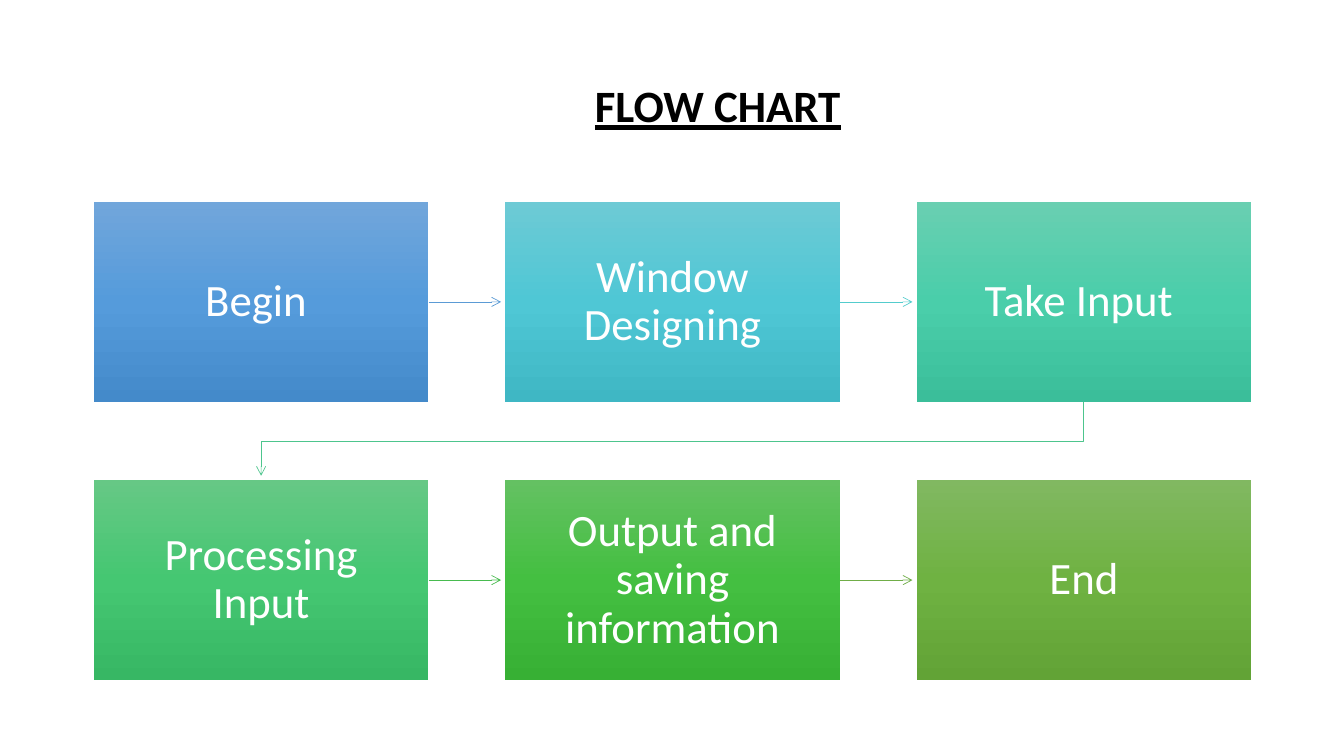
from copy import deepcopy

from lxml.etree import SubElement
from pptx import Presentation
from pptx.dml.color import RGBColor
from pptx.enum.shapes import MSO_CONNECTOR, MSO_SHAPE
from pptx.enum.text import MSO_ANCHOR, MSO_AUTO_SIZE, PP_ALIGN
from pptx.oxml.ns import qn
from pptx.util import Inches, Pt

STEPS = [
    ("Begin ", "71A6DB", "559BDB", "448ACA"),
    ("Window Designing", "6DCAD5", "4FC7D5", "3FB7C4"),
    ("Take Input ", "69CFB1", "4ACEAA", "3BBE9A"),
    ("Processing Input", "66C885", "45C772", "37B764"),
    ("Output and saving information", "64C162", "44BF41", "37B034"),
    ("End", "81B861", "6FB242", "62A336"),
]
LINKS = ["5B9BD5", "54CCCD", "4DC58D", "48BB4F", "70AD47"]


def color(code):
    """Turn a hex string into a colour."""
    return RGBColor.from_string(code)


class Flow:
    """Hold the slide, its grid and its text style."""

    font, size, cols = "Calibri", Pt(32), 3
    left, top, wide, high = 0.93, 2, 3.32, 1.99
    step_x, step_y, gap = 4.08, 2.76, 0.04

    def __init__(self, deck):
        """Add a title-only slide to the deck."""
        self.slide = deck.slides.add_slide(deck.slide_layouts[5])

    def cell(self, num):
        """Return the left and top of a numbered grid cell in inches."""
        row, col = divmod(num, self.cols)
        return self.left + col * self.step_x, self.top + row * self.step_y

    def label(self, shape, text, tint, align):
        """Put styled text in a shape and return its paragraph."""
        frame = shape.text_frame
        frame.text = text
        frame.word_wrap = True
        frame.auto_size = MSO_AUTO_SIZE.NONE
        frame.vertical_anchor = MSO_ANCHOR.MIDDLE
        para = frame.paragraphs[0]
        para.alignment, para.line_spacing = align, 0.9
        para.font.name, para.font.size = self.font, self.size
        para.font.color.rgb = color(tint)
        return para

    def title(self, text, x, y, wide, high):
        """Place and format the title."""
        head = self.slide.shapes.title
        head.left, head.top = Inches(x), Inches(y)
        head.width, head.height = Inches(wide), Inches(high)
        para = self.label(head, text, "000000", PP_ALIGN.LEFT)
        para.font.bold = para.font.underline = True

    def box(self, num, text, *tints):
        """Draw a step with a three-stop gradient from top to bottom."""
        x, y = self.cell(num)
        box = self.slide.shapes.add_shape(
            MSO_SHAPE.RECTANGLE, Inches(x), Inches(y), Inches(self.wide), Inches(self.high))
        box.shadow.inherit = False
        box.line.fill.background()
        box.fill.gradient()
        box.fill.gradient_angle = 270
        stops = box.element.spPr.find(".//" + qn("a:gsLst"))
        stops.insert(1, deepcopy(stops[0]))
        for rank, (stop, tint) in enumerate(zip(box.fill.gradient_stops, tints)):
            stop.position = rank / 2
            stop.color.rgb = color(tint)
        frame = box.text_frame
        frame.margin_left = frame.margin_right = Inches(0.25)
        frame.margin_top = frame.margin_bottom = Inches(0.25)
        self.label(box, text, "FFFFFF", PP_ALIGN.CENTER)

    def link(self, num, tint):
        """Join a step to the next one, bending where the row ends."""
        x, y = self.cell(num)
        next_x, next_y = self.cell(num + 1)
        if y == next_y:
            mid = Inches(y + self.high / 2)
            line = self.slide.shapes.add_connector(
                MSO_CONNECTOR.STRAIGHT, Inches(x + self.wide), mid,
                Inches(next_x - self.gap), mid)
        else:
            start, end = Inches(x + self.wide / 2), Inches(next_x + self.wide / 2)
            base = y + self.high
            turn = Inches((base + next_y) / 2)
            form = self.slide.shapes.build_freeform(start, Inches(base))
            form.add_line_segments(
                [(start, turn), (end, turn), (end, Inches(next_y - self.gap))], close=False)
            line = form.convert_to_shape()
            line.fill.background()
        line.line.color.rgb = color(tint)
        line.line.width = Pt(0.5)
        props = line.element.spPr
        SubElement(props.find(qn("a:ln")), qn("a:tailEnd"), type="arrow")
        SubElement(props, qn("a:effectLst"))


def main():
    """Build and save the flow chart."""
    deck = Presentation()
    deck.slide_width, deck.slide_height = Inches(13.33), Inches(7.5)
    flow = Flow(deck)
    flow.title("FLOW CHART", 5.8, 0.42, 4.79, 1.31)
    for num, tint in enumerate(LINKS):
        flow.link(num, tint)
    for num, step in enumerate(STEPS):
        flow.box(num, *step)
    deck.save("out.pptx")


if __name__ == "__main__":
    main()
